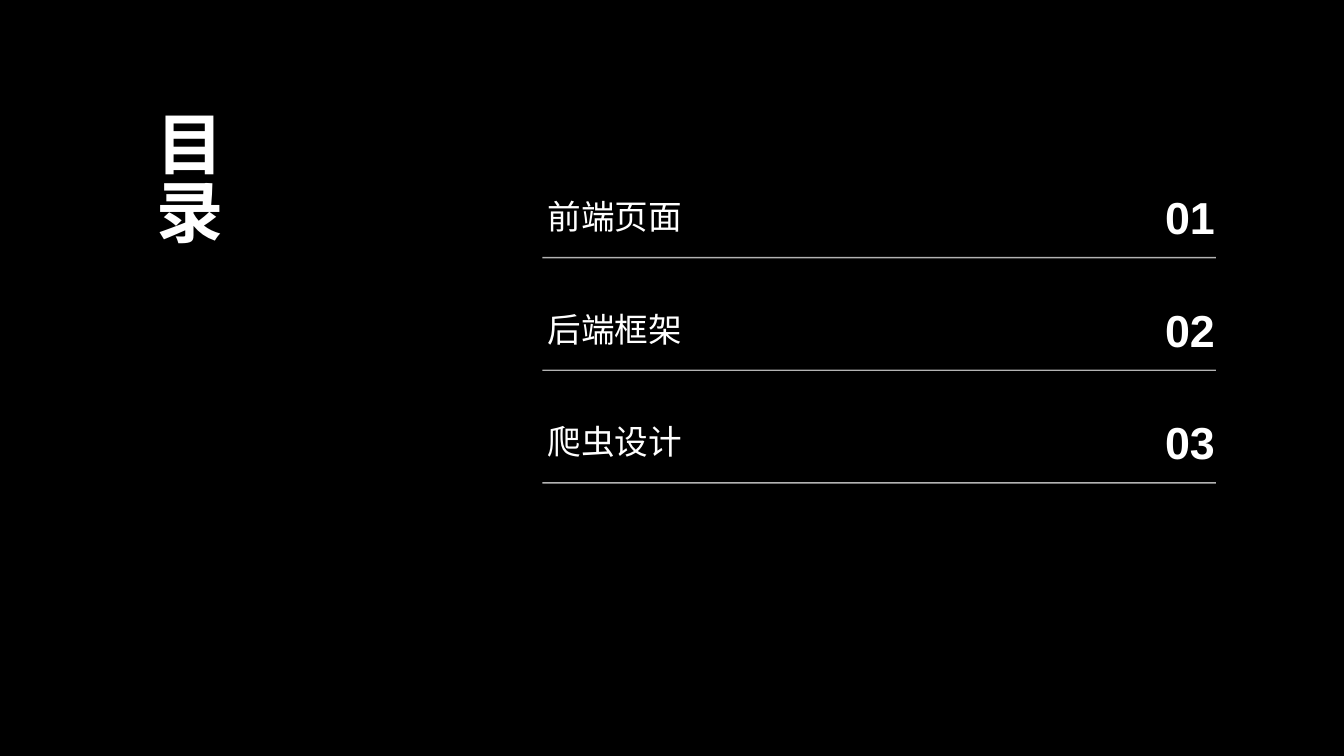
from lxml import etree
from pptx import Presentation, util as u
from pptx.dml.color import RGBColor
from pptx.enum import shapes, text
from pptx.oxml.ns import qn

COLORS = {"background": "000000", "ink": "FFFFFF"}
FONT = "Arial"
LINE_OPACITY = 70
TOPICS = ["前端页面", "后端框架", "爬虫设计"]


def add_text(slide, box, words, size, bold=False,
             align=text.PP_ALIGN.LEFT, anchor=text.MSO_ANCHOR.BOTTOM):
    shape = slide.shapes.add_textbox(*(u.Inches(length) for length in box))
    frame = shape.text_frame
    frame.word_wrap = True
    frame.vertical_anchor = anchor
    frame.margin_left = frame.margin_right = 0
    frame.margin_top = frame.margin_bottom = 0
    paragraph = frame.paragraphs[0]
    paragraph.alignment = align
    run = paragraph.add_run()
    run.text = words
    run.font.name = FONT
    run.font.size = u.Pt(size)
    run.font.bold = bold
    run.font.color.rgb = RGBColor.from_string(COLORS["ink"])
    properties = run.font._element
    etree.SubElement(properties, qn("a:ea")).set("typeface", FONT)
    return shape


def add_rule(slide, left, right, y):
    rule = slide.shapes.add_connector(
        shapes.MSO_CONNECTOR.STRAIGHT,
        u.Inches(left), u.Inches(y), u.Inches(right), u.Inches(y))
    rule.line.width = u.Pt(1)
    rule.line.color.rgb = RGBColor.from_string(COLORS["ink"])
    properties = rule._element.spPr
    color = properties.find(".//" + qn("a:srgbClr"))
    etree.SubElement(color, qn("a:alpha")).set("val", str(LINE_OPACITY * 1000))
    etree.SubElement(properties, qn("a:effectLst"))


def add_title(slide, box):
    title = add_text(slide, box, "目录", 48, bold=True,
                     anchor=text.MSO_ANCHOR.MIDDLE)
    title.text_frame._txBody.bodyPr.set("vert", "eaVert")


def add_contents(slide, box, topics):
    left, top, width, height = box
    right = left + width
    row_height = height / len(topics)
    for number, topic in enumerate(topics, 1):
        bottom = top + number * row_height
        add_text(slide, (right - 0.91, bottom - 0.84, 0.9, 0.7),
                 f"{number:02}", 32, bold=True, align=text.PP_ALIGN.RIGHT)
        add_text(slide, (left + 0.05, bottom - 1.03, 3.81, 0.82), topic, 24)
        add_rule(slide, left, right, bottom)


def main():
    presentation = Presentation()
    presentation.slide_width = u.Inches(13.33)
    presentation.slide_height = u.Inches(7.5)
    slide = presentation.slides.add_slide(presentation.slide_layouts[6])
    fill = slide.background.fill
    fill.solid()
    fill.fore_color.rgb = RGBColor.from_string(COLORS["background"])
    add_title(slide, (0.59, 1.1, 2.55, 5.49))
    add_contents(slide, (5.38, 1.44, 6.68, 3.35), TOPICS)
    presentation.save("out.pptx")


if __name__ == "__main__":
    main()
